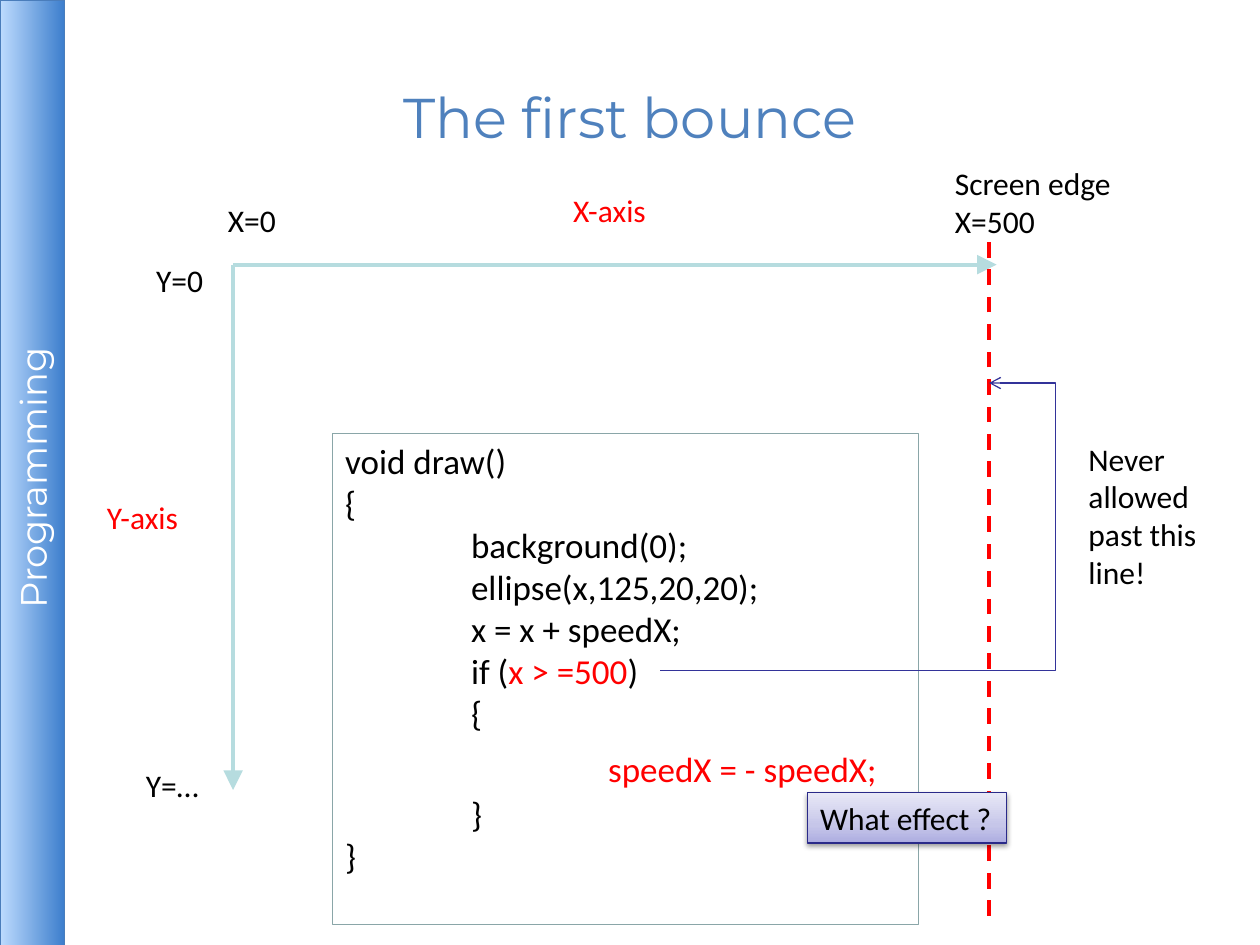
from lxml import etree
from pptx import Presentation
from pptx.dml.color import RGBColor
from pptx.enum.dml import MSO_LINE
from pptx.enum.shapes import MSO_CONNECTOR, MSO_SHAPE
from pptx.enum.text import MSO_ANCHOR, MSO_AUTO_SIZE, PP_ALIGN
from pptx.oxml.ns import qn
from pptx.util import Inches, Pt

RECTANGLE = MSO_SHAPE.RECTANGLE
STRAIGHT, ELBOW = MSO_CONNECTOR.STRAIGHT, MSO_CONNECTOR.ELBOW
DASH = MSO_LINE.DASH
TOP, MIDDLE = MSO_ANCHOR.TOP, MSO_ANCHOR.MIDDLE
LEFT, CENTER = PP_ALIGN.LEFT, PP_ALIGN.CENTER
FIT, FIXED = MSO_AUTO_SIZE.SHAPE_TO_FIT_TEXT, MSO_AUTO_SIZE.NONE

BLACK = RGBColor(0x00, 0x00, 0x00)
WHITE = RGBColor(0xFF, 0xFF, 0xFF)
RED = RGBColor(0xFF, 0x00, 0x00)
TITLE_BLUE = RGBColor(0x4F, 0x81, 0xBD)
BAR_EDGE = RGBColor(0x4A, 0x7D, 0xBB)
AXIS = RGBColor(0xB6, 0xDC, 0xDF)
CODE_EDGE = RGBColor(0x8A, 0xA6, 0xA8)
INDIGO = RGBColor(0x33, 0x33, 0x99)
QUESTION_EDGE = RGBColor(0x2A, 0x2A, 0x89)
BAR_STOPS = [(0, "BDDBFE"), (100, "3E7FCD")]
QUESTION_STOPS = [(0, "ADADE1"), (35, "C6C6E9"), (100, "E9E9F7")]
BIG_TRIANGLE = {"type": "triangle", "w": "lg", "len": "lg"}
OPEN_ARROW = {"type": "arrow"}

TITLE = "The first bounce"
COURSE = "Programming "
QUESTION = "What effect ?"
LABELS = [
    (["X=0"], (1.71, 1.55, 0.63, 0.4), BLACK),
    (["X-axis"], (4.45, 1.47, 1.18, 0.4), RED),
    (["Screen edge", "X=500"], (7.48, 1.25, 1.61, 0.71), BLACK),
    (["Y=…"], (1.06, 6.03, 0.94, 0.4), BLACK),
    (["Y=0"], (1.14, 2.02, 0.87, 0.4), BLACK),
    (["Y-axis"], (0.75, 3.9, 1.18, 0.4), RED),
    (["Never allowed past this line!"], (8.54, 3.44, 1.1, 1.31), BLACK),
]
CODE = [
    "void draw()",
    "{",
    "\tbackground(0);",
    "\tellipse(x,125,20,20);",
    "\tx = x + speedX;",
    [("\tif (", {}), ("x > =500", {"color": RED}), (")", {})],
    "\t{",
    [("\t\t", {}), (" ", {"size": 28}), ("speedX = - speedX;", {"color": RED})],
    "\t}",
    "}",
]
CODE_TABS = (1, 2)
ORIGIN = (1.85, 2.1)
EDGE_X = 7.85


def write_text(shape, lines, size=18, font="Calibri", color=BLACK, align=LEFT,
               anchor=TOP, wrap=True, fit=FIT, inset=None, tabs=()):
    frame = shape.text_frame
    frame.word_wrap = wrap
    frame.auto_size = fit
    frame.vertical_anchor = anchor
    if inset is not None:
        frame.margin_left = frame.margin_right = Inches(inset)
        frame.margin_top = frame.margin_bottom = Inches(inset)
    for number, line in enumerate(lines):
        paragraph = frame.paragraphs[0] if number == 0 else frame.add_paragraph()
        paragraph.alignment = align
        if tabs:
            tab_list = etree.SubElement(paragraph._p.get_or_add_pPr(), qn("a:tabLst"))
            for tab in tabs:
                etree.SubElement(tab_list, qn("a:tab"), pos=str(Inches(tab)), algn="l")
        for words, special in [(line, {})] if isinstance(line, str) else line:
            run = paragraph.add_run()
            run.text = words
            run.font.name = font
            run.font.size = Pt(special.get("size", size))
            run.font.color.rgb = special.get("color", color)


def add_box(slide, place, edge):
    box = slide.shapes.add_shape(RECTANGLE, *map(Inches, place))
    box.shadow.inherit = False
    box.fill.background()
    box.line.color.rgb = edge
    box.line.width = Pt(0.75)
    return box


def add_color(parent, rgb, alpha=100):
    color = etree.SubElement(parent, qn("a:srgbClr"), val=rgb)
    if alpha < 100:
        etree.SubElement(color, qn("a:alpha"), val=str(alpha * 1000))


def shade(box, stops, angle, alpha, blur, distance):
    box.fill.gradient()
    box.fill.gradient_angle = angle
    properties = box._element.spPr
    stop_list = properties.find(qn("a:gradFill")).find(qn("a:gsLst"))
    for stop in list(stop_list):
        stop_list.remove(stop)
    for position, rgb in stops:
        add_color(etree.SubElement(stop_list, qn("a:gs"), pos=str(position * 1000)), rgb)
    shadow = etree.SubElement(
        properties.find(qn("a:effectLst")), qn("a:outerShdw"), blurRad=str(Pt(blur)),
        dist=str(Pt(distance)), dir="5400000", rotWithShape="0")
    add_color(shadow, "000000", alpha)


def add_line(slide, start, end, color, width=2.25, kind=STRAIGHT, dash=None,
             head=None, tail=None):
    connector = slide.shapes.add_connector(kind, *map(Inches, start + end))
    connector.line.color.rgb = color
    connector.line.width = Pt(width)
    if dash is not None:
        connector.line.dash_style = dash
    outline = connector.line._get_or_add_ln()
    for tag, arrow in (("a:headEnd", head), ("a:tailEnd", tail)):
        if arrow:
            etree.SubElement(outline, qn(tag), arrow)
    etree.SubElement(connector._element.spPr, qn("a:effectLst"))
    return connector


def main():
    deck = Presentation()
    deck.slide_width, deck.slide_height = Inches(10), Inches(7.5)
    slide = deck.slides.add_slide(deck.slide_layouts[5])

    title = slide.shapes.title
    title.left, title.top, title.width, title.height = map(Inches, (0.5, 0.3, 9, 1.25))
    write_text(title, [TITLE], size=32, font="Montserrat", color=TITLE_BLUE,
               align=CENTER, anchor=MIDDLE, fit=FIXED, inset=0.04)

    sidebar = add_box(slide, (-3.5, 3.5, 7.51, 0.51), BAR_EDGE)
    sidebar.rotation = 270
    shade(sidebar, BAR_STOPS, 270, alpha=35, blur=0, distance=1.8)
    write_text(sidebar, [COURSE], size=21, font="Montserrat", color=WHITE,
               align=CENTER, anchor=MIDDLE, fit=FIXED, inset=0.04)

    add_line(slide, (ORIGIN[0], 6.27), ORIGIN, AXIS, head=BIG_TRIANGLE)
    add_line(slide, ORIGIN, (7.91, ORIGIN[1]), AXIS, tail=BIG_TRIANGLE)

    for lines, place, color in LABELS:
        write_text(slide.shapes.add_textbox(*map(Inches, place)), lines, color=color)

    add_line(slide, (EDGE_X, 7.27), (EDGE_X, 1.87), RED, dash=DASH)

    code_box = add_box(slide, (2.64, 3.44, 4.65, 3.9), CODE_EDGE)
    write_text(code_box, CODE, size=20, fit=FIXED, tabs=CODE_TABS)

    limit = add_line(slide, (5.24, 5.32), (EDGE_X, 3.04), INDIGO, width=0.75,
                     kind=ELBOW, tail=OPEN_ARROW)
    geometry = limit._element.spPr.find(qn("a:prstGeom"))
    etree.SubElement(geometry.find(qn("a:avLst")), qn("a:gd"), name="adj1", fmla="val 120200")

    question = add_box(slide, (6.41, 6.29, 1.58, 0.4), QUESTION_EDGE)
    shade(question, QUESTION_STOPS, 90, alpha=38, blur=3.1, distance=1.6)
    write_text(question, [QUESTION], wrap=False)

    deck.save("out.pptx")


if __name__ == "__main__":
    main()
